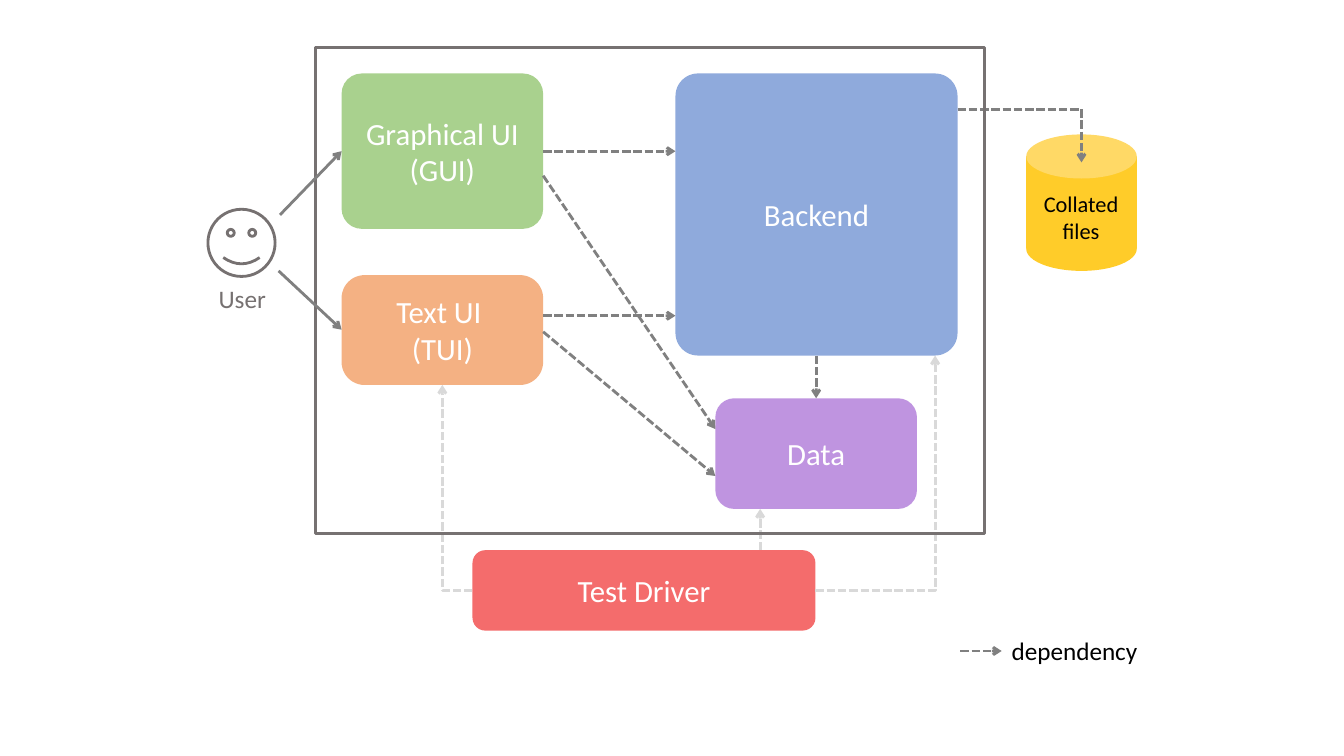
import pptx
import pptx.dml.color
import pptx.enum.dml
import pptx.enum.shapes
import pptx.enum.text
import pptx.oxml.ns
import pptx.util
from lxml import etree

Pt = pptx.util.Pt
SHAPES = pptx.enum.shapes.MSO_SHAPE
CONNECTORS = pptx.enum.shapes.MSO_CONNECTOR
ALIGN = pptx.enum.text.PP_ALIGN
ANCHOR = pptx.enum.text.MSO_ANCHOR

COLOURS = {
    "green": "A9D18E", "orange": "F4B183", "blue": "8FAADC", "red": "F46C6C",
    "purple": "BF94E0", "yellow": "FFCC29", "pale yellow": "FFD966",
    "arrow": "808080", "test arrow": "D9D9D9", "outline": "767171",
    "white": "FFFFFF", "black": "000000",
}


def rgb(name):
    return pptx.dml.color.RGBColor.from_string(COLOURS[name])


class Diagram:
    """Draws the elements of the diagram on one slide; lengths are in points."""

    font = "Calibri"
    line_width = 2

    def __init__(self, slide):
        self.slide = slide

    def set_text(self, shape, text, size, colour, align):
        shape.text_frame.text = text
        for paragraph in shape.text_frame.paragraphs:
            paragraph.alignment = align
            for run in paragraph.runs:
                run.font.name = self.font
                run.font.size = Pt(size)
                run.font.color.rgb = rgb(colour)

    def shape(self, kind, box, fill=None, outline=None):
        shape = self.slide.shapes.add_shape(kind, *map(Pt, box))
        shape.shadow.inherit = False
        if fill:
            shape.fill.solid()
            shape.fill.fore_color.rgb = rgb(fill)
        else:
            shape.fill.background()
        if outline:
            shape.line.color.rgb = rgb(outline)
            shape.line.width = Pt(self.line_width)
        else:
            shape.line.fill.background()
        return shape

    def component(self, text, box, fill, rounding):
        shape = self.shape(SHAPES.ROUNDED_RECTANGLE, box, fill)
        shape.adjustments[0] = rounding
        shape.text_frame.word_wrap = True
        shape.text_frame.vertical_anchor = ANCHOR.MIDDLE
        self.set_text(shape, text, 22, "white", ALIGN.CENTER)

    def label(self, text, box, size=18, colour="black", align=ALIGN.LEFT, wrap=False):
        shape = self.slide.shapes.add_textbox(*map(Pt, box))
        shape.text_frame.word_wrap = wrap
        self.set_text(shape, text, size, colour, align)

    def arrow(self, start, end, colour="arrow", dashed=True, head=True, bent=False):
        kind = CONNECTORS.ELBOW if bent else CONNECTORS.STRAIGHT
        connector = self.slide.shapes.add_connector(kind, *map(Pt, start + end))
        connector.line.color.rgb = rgb(colour)
        connector.line.width = Pt(self.line_width)
        if dashed:
            connector.line.dash_style = pptx.enum.dml.MSO_LINE.SQUARE_DOT
        properties = connector._element.spPr
        qn = pptx.oxml.ns.qn
        if bent:  # a single corner: across, then up
            properties.find(qn("a:prstGeom")).set("prst", "bentConnector2")
        if head:
            etree.SubElement(properties.find(qn("a:ln")), qn("a:tailEnd"), type="arrow")
        etree.SubElement(properties, qn("a:effectLst"))


def main():
    presentation = pptx.Presentation()
    presentation.slide_width = Pt(960)
    presentation.slide_height = Pt(540)
    diagram = Diagram(presentation.slides.add_slide(presentation.slide_layouts[6]))

    # Components
    for component in (
        ("Graphical UI\n(GUI)", (244, 52.5, 144, 111), "green", 0.13),
        ("Text UI \n(TUI)", (244, 196.5, 144, 78.5), "orange", 0.21),
        ("Backend", (482.5, 52.5, 201.5, 201.5), "blue", 0.08),
        ("Test Driver", (337.5, 393, 245, 57.5), "red", 0.16),
        ("Data", (511, 284.5, 144, 79), "purple", 0.17),
    ):
        diagram.component(*component)

    # Collated files: a cylinder
    left, width, cap = 733, 79, 31.5
    diagram.shape(SHAPES.RECTANGLE, (left, 111.5, width, 66), "yellow")
    diagram.shape(SHAPES.OVAL, (left, 162, width, cap), "yellow")
    diagram.shape(SHAPES.OVAL, (left, 96, width, cap), "pale yellow")
    diagram.label("Collated files", (736, 132.5, 72.5, 46), size=16,
                  align=ALIGN.CENTER, wrap=True)

    # Dependencies between components
    for start, end in (
        ((388, 108), (482.5, 108)),
        ((388, 225.5), (482.5, 225.5)),
        ((388, 125.5), (511, 306.5)),
        ((388, 237), (511, 340)),
        ((583, 254), (583, 284.5)),
        ((772.5, 78), (772.5, 116)),
    ):
        diagram.arrow(start, end)
    diagram.arrow((684, 78), (772.5, 78), head=False)

    # Dependencies of the test driver
    diagram.arrow((543, 393), (543, 363.5), "test arrow")
    diagram.arrow((582.5, 422), (668, 254), "test arrow", bent=True)
    diagram.arrow((337.5, 422), (316, 275), "test arrow", bent=True)

    # System boundary
    diagram.shape(SHAPES.RECTANGLE, (225.5, 34, 478, 347), outline="outline")

    # User
    diagram.shape(SHAPES.SMILEY_FACE, (148.5, 149.5, 48, 48), outline="outline")
    diagram.label("User", (149, 198.5, 49, 29), colour="outline")
    diagram.arrow((200, 153.5), (244, 108), dashed=False)
    diagram.arrow((199, 193.5), (244, 235.5), dashed=False)

    # Legend
    diagram.arrow((686, 465), (715.5, 465))
    diagram.label("dependency", (715.5, 450.5, 106, 29))

    presentation.save("out.pptx")


if __name__ == "__main__":
    main()
